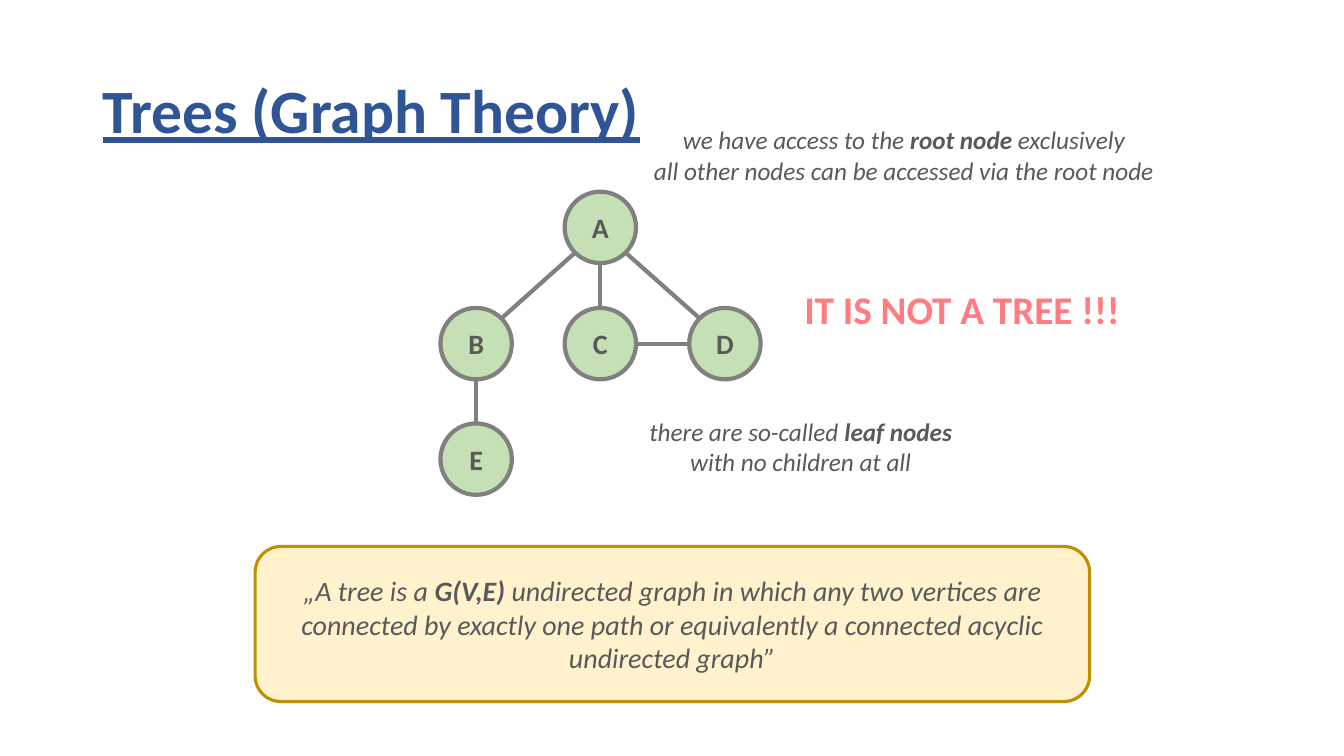
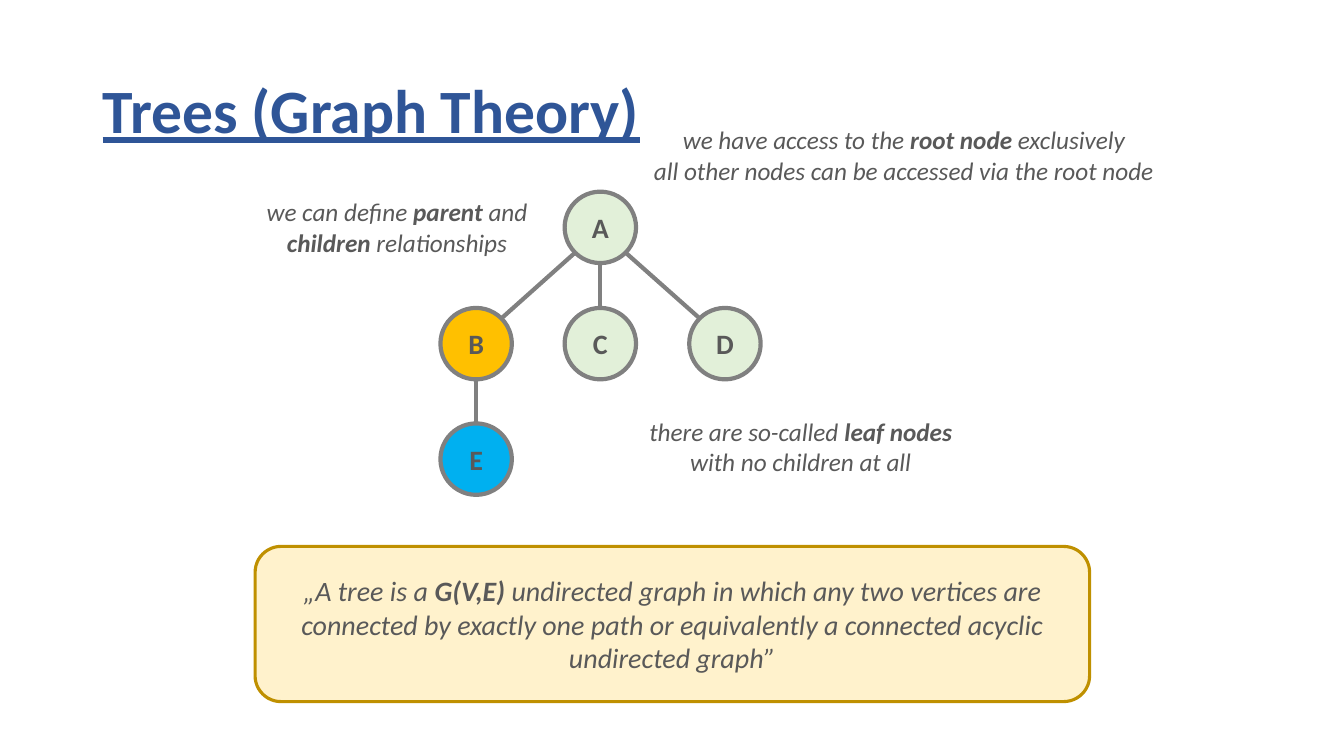
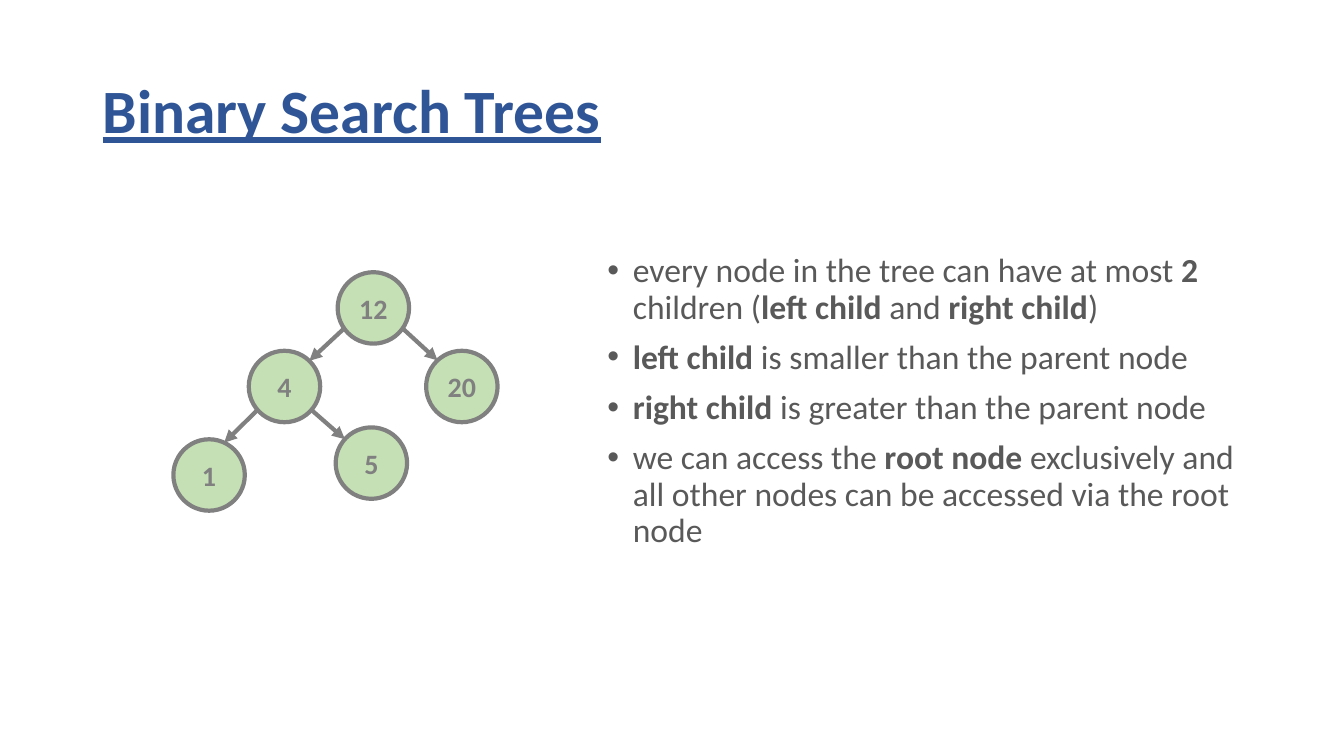
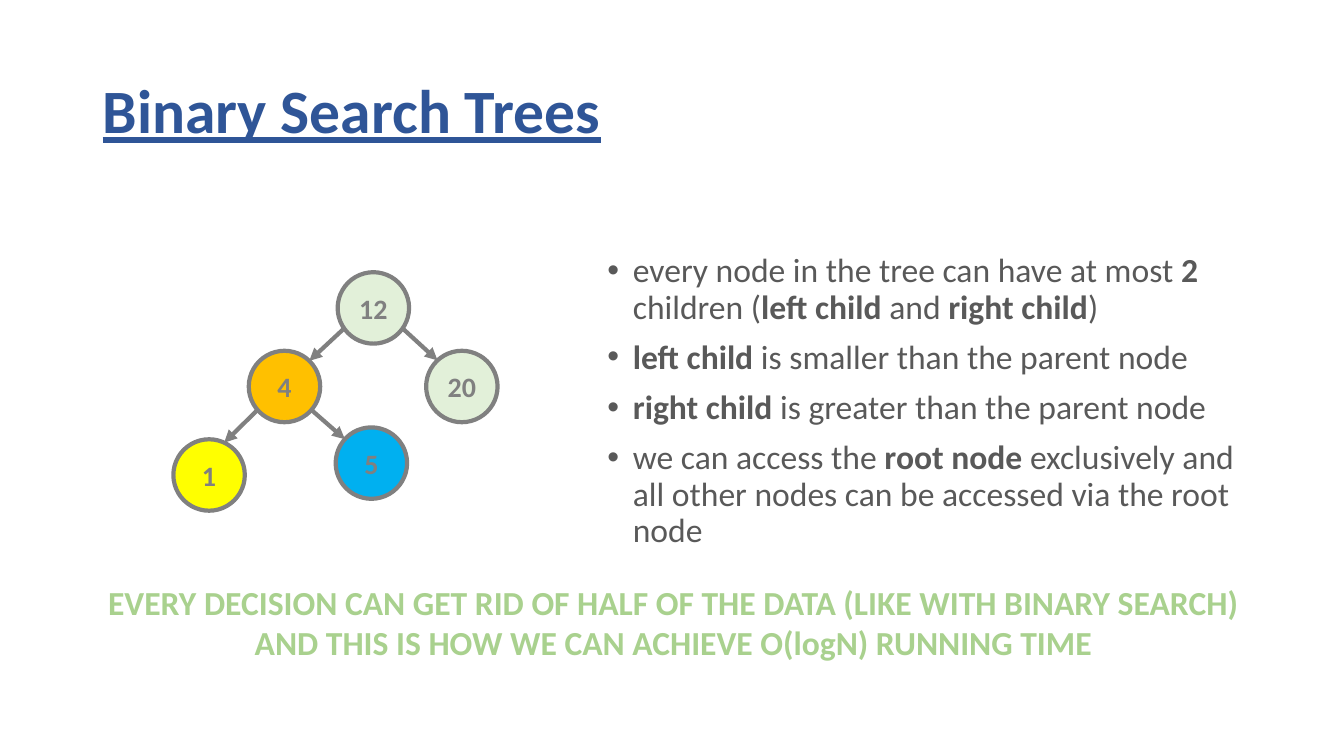
"""Build four slides on graph trees and binary search trees."""
from dataclasses import dataclass
from math import cos, radians, sin

from lxml.etree import SubElement
from pptx import Presentation
from pptx.dml.color import RGBColor
from pptx.enum.shapes import MSO_CONNECTOR as Connector, MSO_SHAPE as Preset
from pptx.enum.text import MSO_ANCHOR as Anchor, MSO_AUTO_SIZE as AutoSize, PP_ALIGN as Align
from pptx.oxml.ns import qn
from pptx.shapes.autoshape import Shape
from pptx.slide import Slide
from pptx.text.text import TextFrame
from pptx.util import Cm, Pt

COLORS = {
    "title": "2F5597", "text": "595959", "line": "808080", "warning": "FF7C80",
    "summary": "A9D18E", "green": "C5E0B4", "pale": "E2F0D9", "orange": "FFC000",
    "blue": "00B0F0", "yellow": "FFFF00", "cream": "FFF2CC", "gold": "BF9000",
}
FONT = "Calibri"
NODE_SIZE = 1.8
RADIUS = NODE_SIZE / 2


@dataclass(frozen=True)
class Style:
    size: int
    color: str = "text"
    bold: bool = False
    italic: bool = False
    underline: bool = False
    align: Align = Align.CENTER


@dataclass(frozen=True)
class Box:
    left: float
    top: float
    width: float
    height: float

    def lengths(self) -> tuple[Cm, ...]:
        return tuple(Cm(value) for value in (self.left, self.top, self.width, self.height))


@dataclass(frozen=True)
class Label:
    box: Box
    lines: tuple[str, ...]
    style: Style


@dataclass(frozen=True)
class Node:
    left: float
    top: float

    def rim(self, angle: float, across: int, down: int) -> tuple[Cm, Cm]:
        turn = radians(angle)
        return (Cm(self.left + RADIUS + across * RADIUS * cos(turn)),
                Cm(self.top + RADIUS + down * RADIUS * sin(turn)))


@dataclass(frozen=True)
class Edge:
    start: str
    end: str
    leave: float = 45
    arrive: float = 45


@dataclass(frozen=True)
class Tree:
    nodes: dict[str, Node]
    edges: tuple[Edge, ...]
    style: Style
    arrows: bool = False


TITLE = Style(44, "title", bold=True, underline=True, align=Align.LEFT)
NOTE = Style(18, italic=True)
QUOTE = Style(20, italic=True)
BODY = Style(24, align=Align.LEFT)
WARNING = Style(28, "warning", bold=True, align=Align.LEFT)
SUMMARY = Style(24, "summary", bold=True)

TITLE_BOX = Box(2.34, 1.02, 29.21, 3.68)
QUOTE_BOX = Box(6.43, 13.77, 21.03, 3.91)
BODY_BOX = Box(15.06, 6.27, 16.46, 12.09)

GRAPH = Tree(
    {"A": Node(14.23, 4.83), "B": Node(11.1, 7.76), "C": Node(14.23, 7.76),
     "D": Node(17.37, 7.76), "E": Node(11.1, 10.67)},
    (Edge("A", "B"), Edge("A", "C", 90, 90), Edge("A", "D"), Edge("B", "E", 90, 90)),
    Style(20, bold=True),
)
CYCLE_EDGE = Edge("C", "D", 0, 0)
SEARCH_TREE = Tree(
    {"12": Node(8.51, 6.86), "4": Node(6.27, 8.84), "20": Node(10.74, 8.84),
     "1": Node(4.37, 11.07), "5": Node(8.46, 10.77)},
    (Edge("12", "4", 35, 46), Edge("12", "20", 35, 47),
     Edge("4", "1", 41, 65), Edge("4", "5", 41, 42)),
    Style(20, "line", bold=True), arrows=True,
)

ROOT_NOTE = Label(Box(16.05, 3.02, 13.46, 1.8), (
    "we have access to the **root node** exclusively",
    "all other nodes can be accessed via the root node"), NOTE)
LEAF_NOTE = Label(Box(16.05, 10.36, 8.26, 1.8), (
    "there are so-called **leaf nodes**", "with no children at all"), NOTE)
FAMILY_NOTE = Label(Box(6.45, 4.83, 7.11, 1.8), (
    "we can define **parent** and", "**children** relationships"), NOTE)
CYCLE_WARNING = Label(Box(20.02, 7.06, 8.56, 1.45), ("IT IS NOT A TREE !!!",), WARNING)
RUNNING_TIME = Label(Box(2.34, 14.53, 29.26, 2.31), (
    "EVERY DECISION CAN GET RID OF HALF OF THE DATA (LIKE WITH BINARY SEARCH)",
    "AND THIS IS HOW WE CAN ACHIEVE O(logN) RUNNING TIME"), SUMMARY)
DEFINITION = (
    "„A tree is a **G(V,E) **undirected graph in which any two vertices are "
    "connected by exactly one path or equivalently "
    "a connected acyclic undirected graph”")
RULES = (
    "every node in the tree can have at most **2** children (**left child** and **right child**)",
    "**left child** is smaller than the parent node",
    "**right child** is greater than the parent node",
    "we can access the **root node** exclusively and all other nodes can be accessed "
    "via the root node",
)


def rgb(name: str) -> RGBColor:
    return RGBColor.from_string(COLORS[name])


def write(frame: TextFrame, lines: tuple[str, ...], style: Style) -> None:
    for index, line in enumerate(lines):
        paragraph = frame.paragraphs[0] if index == 0 else frame.add_paragraph()
        paragraph.alignment = style.align
        for part, text in enumerate(line.split("**")):
            if not text:
                continue
            run = paragraph.add_run()
            run.text = text
            values = {"name": FONT, "size": Pt(style.size), "italic": style.italic,
                      "underline": style.underline, "bold": style.bold or part % 2 == 1}
            for attribute, value in values.items():
                setattr(run.font, attribute, value)
            run.font.color.rgb = rgb(style.color)


def add_label(slide: Slide, label: Label) -> None:
    frame = slide.shapes.add_textbox(*label.box.lengths()).text_frame
    frame.word_wrap = False
    frame.auto_size = AutoSize.SHAPE_TO_FIT_TEXT
    write(frame, label.lines, label.style)


def add_title(slide: Slide, text: str) -> None:
    frame = slide.shapes.add_textbox(*TITLE_BOX.lengths()).text_frame
    frame.word_wrap = True
    frame.vertical_anchor = Anchor.MIDDLE
    write(frame, (text,), TITLE)
    frame.paragraphs[0].line_spacing = 0.9


def add_filled(slide: Slide, preset: Preset, box: Box, fill: str, line: str,
               width: float, text: str, style: Style) -> Shape:
    shape = slide.shapes.add_shape(preset, *box.lengths())
    shape.shadow.inherit = False
    shape.fill.solid()
    shape.fill.fore_color.rgb = rgb(fill)
    shape.line.color.rgb = rgb(line)
    shape.line.width = Pt(width)
    shape.text_frame.word_wrap = True
    shape.text_frame.vertical_anchor = Anchor.MIDDLE
    write(shape.text_frame, (text,), style)
    return shape


def add_edge(slide: Slide, tree: Tree, edge: Edge) -> None:
    start, end = tree.nodes[edge.start], tree.nodes[edge.end]
    across = 1 if end.left >= start.left else -1
    connector = slide.shapes.add_connector(
        Connector.STRAIGHT, *start.rim(edge.leave, across, 1),
        *end.rim(edge.arrive, -across, -1))
    connector.line.color.rgb = rgb("line")
    connector.line.width = Pt(3)
    properties = connector._element.spPr
    if tree.arrows:
        SubElement(properties.find(qn("a:ln")), qn("a:tailEnd"), type="triangle")
    SubElement(properties, qn("a:effectLst"))


def add_tree(slide: Slide, tree: Tree, fill: str, marked: dict[str, str]) -> None:
    for name, node in tree.nodes.items():
        add_filled(slide, Preset.OVAL, Box(node.left, node.top, NODE_SIZE, NODE_SIZE),
                   marked.get(name, fill), "line", 3, name, tree.style)
    for edge in tree.edges:
        add_edge(slide, tree, edge)


def add_rules(slide: Slide) -> None:
    frame = slide.shapes.add_textbox(*BODY_BOX.lengths()).text_frame
    frame.word_wrap = True
    write(frame, RULES, BODY)
    for paragraph in frame.paragraphs:
        paragraph.line_spacing = 0.9
        paragraph.space_before = Pt(10)
        properties = paragraph._p.get_or_add_pPr()
        indent = Cm(0.64)
        properties.set("marL", str(indent))
        properties.set("indent", str(-indent))
        SubElement(properties, qn("a:buFont"), typeface="Arial")
        SubElement(properties, qn("a:buChar"), char="•")


def add_graph_slide(slide: Slide, fill: str, marked: dict[str, str]) -> None:
    add_title(slide, "Trees (Graph Theory)")
    add_tree(slide, GRAPH, fill, marked)
    for label in (ROOT_NOTE, LEAF_NOTE):
        add_label(slide, label)
    add_filled(slide, Preset.ROUNDED_RECTANGLE, QUOTE_BOX, "cream", "gold", 2.25,
               DEFINITION, QUOTE)


def add_search_slide(slide: Slide, fill: str, marked: dict[str, str]) -> None:
    add_title(slide, "Binary Search Trees")
    add_tree(slide, SEARCH_TREE, fill, marked)
    add_rules(slide)


def main() -> None:
    presentation = Presentation()
    presentation.slide_width, presentation.slide_height = Cm(33.87), Cm(19.05)
    blank = presentation.slide_layouts[6]
    cycle, family, search, decision = (presentation.slides.add_slide(blank) for _ in range(4))

    add_graph_slide(cycle, "green", {})
    add_edge(cycle, GRAPH, CYCLE_EDGE)
    add_label(cycle, CYCLE_WARNING)

    add_graph_slide(family, "pale", {"B": "orange", "E": "blue"})
    add_label(family, FAMILY_NOTE)

    add_search_slide(search, "green", {})

    add_search_slide(decision, "pale", {"4": "orange", "5": "blue", "1": "yellow"})
    add_label(decision, RUNNING_TIME)

    presentation.save("out.pptx")


if __name__ == "__main__":
    main()
